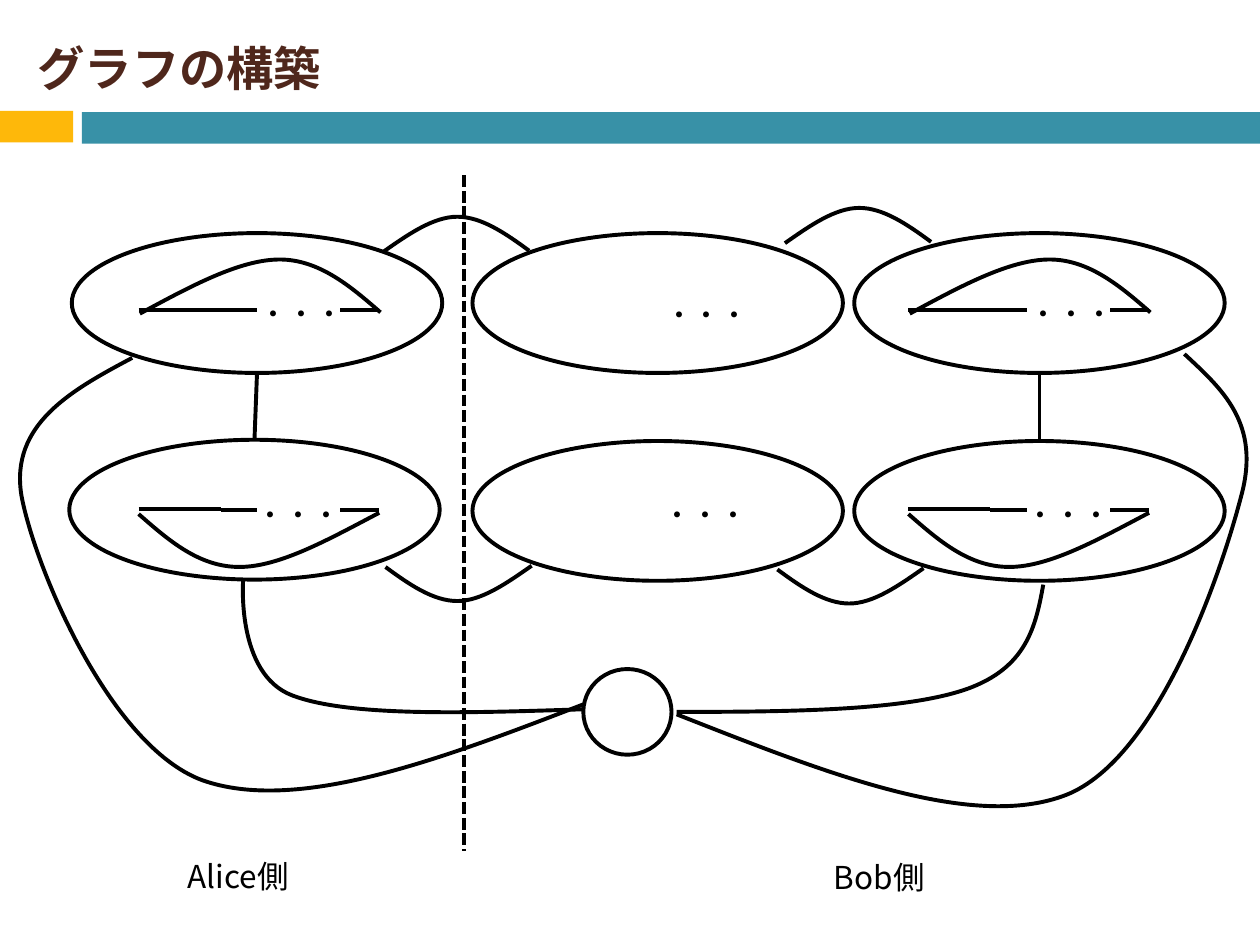
import pptx
import pptx.util
import pptx.dml.color
import pptx.enum.dml
import pptx.enum.shapes
import pptx.enum.text
import pptx.oxml.ns
from lxml import etree

Inches = pptx.util.Inches
qn = pptx.oxml.ns.qn
SHAPE = pptx.enum.shapes.MSO_SHAPE
FONT = "Noto Sans CJK JP"
BLACK = "000000"


def rgb(color):
    return pptx.dml.color.RGBColor.from_string(color)


def set_line(line):
    line.color.rgb = rgb(BLACK)
    line.width = pptx.util.Pt(2.25)


def add_text(slide, text, x, y, w, h, size, color=BLACK, bold=False):
    tf = slide.shapes.add_textbox(Inches(x), Inches(y), Inches(w), Inches(h)).text_frame
    tf.word_wrap = True
    tf.vertical_anchor = pptx.enum.text.MSO_ANCHOR.MIDDLE
    p = tf.paragraphs[0]
    p.text = text
    p.font.name = FONT
    p.font.size = pptx.util.Pt(size)
    p.font.bold = bold
    p.font.color.rgb = rgb(color)
    # The Japanese glyphs need the East Asian typeface
    etree.SubElement(p._p.pPr.find(qn("a:defRPr")), qn("a:ea"), typeface=FONT)


def add_dots(slide, x, y):
    add_text(slide, "・・・", x, y, 0.89, 0.37, 16)


def add_bar(slide, x, y, w, h, color):
    sp = slide.shapes.add_shape(SHAPE.RECTANGLE, Inches(x), Inches(y), Inches(w), Inches(h))
    sp.shadow.inherit = False
    sp.fill.solid()
    sp.fill.fore_color.rgb = rgb(color)
    sp.line.fill.background()


def add_oval(slide, x, y, w, h):
    sp = slide.shapes.add_shape(SHAPE.OVAL, Inches(x), Inches(y), Inches(w), Inches(h))
    sp.shadow.inherit = False
    sp.fill.background()
    set_line(sp.line)


def add_line(slide, x1, y1, x2, y2):
    line = slide.shapes.add_connector(
        pptx.enum.shapes.MSO_CONNECTOR.STRAIGHT,
        Inches(x1), Inches(y1), Inches(x2), Inches(y2))
    etree.SubElement(line._element.spPr, qn("a:effectLst"))
    set_line(line.line)
    return line


def add_curve(slide, x, y, points):
    """Draw joined cubic Béziers; points are offsets from (x, y)."""
    pts = [(Inches(x + px), Inches(y + py)) for px, py in points]
    fb = slide.shapes.build_freeform(*pts[0])
    fb.add_line_segments(pts[3::3], close=False)
    sp = fb.convert_to_shape()
    # Turn each straight segment into a cubic one
    for i, segment in enumerate(list(sp._element.iter(qn("a:lnTo")))):
        cubic = etree.Element(qn("a:cubicBezTo"))
        for px, py in pts[3 * i + 1:3 * i + 4]:
            etree.SubElement(cubic, qn("a:pt"), x=str(px - sp.left), y=str(py - sp.top))
        segment.getparent().replace(segment, cubic)
    sp.shadow.inherit = False
    sp.fill.background()
    set_line(sp.line)


def add_header(slide, x, y, w):
    add_bar(slide, x, y + 0.88, 0.58, 0.25, "FEB80A")
    add_bar(slide, x + 0.65, y + 0.89, w - 0.65, 0.25, "3891A7")
    add_text(slide, "グラフの構築", x + 0.2, y + 0.2, w - 0.39, 0.67, 27, "4F271C", True)


def add_cycles(slide, x, y):
    """Upper and lower cycles that sit inside one column of groups."""
    for x1, y1, x2, y2 in ((0, 0.4, 0.65, 0.4), (0.65, 0.4, 0.94, 0.4), (1.6, 0.4, 1.91, 0.4),
                           (0, 1.98, 0.65, 1.98), (0.65, 1.99, 0.94, 1.99),
                           (1.6, 1.99, 1.91, 1.99)):
        add_line(slide, x + x1, y + y1, x + x2, y + y2)
    add_curve(slide, x, y, [(0.01, 0.43), (0.4, 0.22), (0.8, 0), (1.12, 0),
                            (1.43, 0), (1.68, 0.21), (1.92, 0.42)])
    add_curve(slide, x, y, [(1.91, 2.01), (1.51, 2.22), (1.12, 2.44), (0.8, 2.44),
                            (0.48, 2.44), (0.24, 2.23), (0, 2.02)])
    add_dots(slide, x + 0.86, y + 0.24)
    add_dots(slide, x + 0.84, y + 1.84)


def add_groups(slide, x, y):
    """Six groups, with links between neighbours."""
    for dx, dy in ((0.02, 0), (0, 1.64), (3.2, 0), (3.2, 1.65), (6.23, 0), (6.23, 1.65)):
        add_oval(slide, x + dx, y + dy, 2.94, 1.11)
    add_line(slide, x + 1.49, y + 1.11, x + 1.47, y + 1.64)
    add_line(slide, x + 7.7, y + 1.11, x + 7.7, y + 1.65)
    # Arcs bulge up above the top row and down below the bottom row
    for dx, dy, side in ((2.49, 0.15, -1), (5.68, 0.08, -1), (2.51, 2.64, 1), (5.62, 2.66, 1)):
        arc = [(0, 0), (0.2, 0.14), (0.4, 0.28), (0.59, 0.28),
               (0.78, 0.28), (0.97, 0.15), (1.16, 0.01)]
        if side > 0:
            arc = [(1.16 - px, py) for px, py in arc]
        add_curve(slide, x + dx, y + dy, [(px, side * py) for px, py in arc])
    add_dots(slide, x + 4.63, y + 0.46)
    add_dots(slide, x + 4.62, y + 2.05)


def add_hub(slide, x, y):
    """Shared vertex and its four links to the outer groups."""
    add_oval(slide, x, y, 0.7, 0.68)
    for points in (
        [(-3.58, -2.47), (-4.07, -2.21), (-4.55, -1.94), (-4.46, -1.38), (-4.36, -0.83),
         (-3.77, 0.6), (-3.03, 0.88), (-2.28, 1.15), (-1.14, 0.72), (0, 0.28)],
        [(4.77, -2.5), (5.07, -2.22), (5.38, -1.95), (5.22, -1.37), (5.07, -0.79),
         (4.57, 0.71), (3.83, 1), (3.08, 1.29), (1.91, 0.82), (0.74, 0.36)],
        [(0.74, 0.34), (1.65, 0.34), (2.55, 0.33), (3.04, 0.16),
         (3.52, -0.01), (3.59, -0.34), (3.65, -0.67)],
        [(-0.01, 0.32), (-0.94, 0.35), (-1.86, 0.38), (-2.31, 0.21),
         (-2.76, 0.04), (-2.7, -0.71), (-2.7, -0.71)],
    ):
        add_curve(slide, x, y, points)


def add_sides(slide, x, y):
    """Dashed divider and the names of the two sides."""
    divider = add_line(slide, x + 2.29, y, x + 2.29, y + 5.36)
    divider.line.dash_style = pptx.enum.dml.MSO_LINE.SQUARE_DOT
    add_text(slide, "Alice側", x, y + 5.36, 1.11, 0.4, 18)
    add_text(slide, "Bob側", x + 5.13, y + 5.37, 1.11, 0.4, 18)


def main():
    prs = pptx.Presentation()
    prs.slide_width, prs.slide_height = Inches(10), Inches(7.5)
    slide = prs.slides.add_slide(prs.slide_layouts[6])
    add_header(slide, 0, 0, 10)
    for x in (1.1, 7.21):
        add_cycles(slide, x, 2.06)
    add_sides(slide, 1.39, 1.39)
    add_groups(slide, 0.55, 1.85)
    add_hub(slide, 4.63, 5.31)
    prs.save("out.pptx")


if __name__ == "__main__":
    main()
